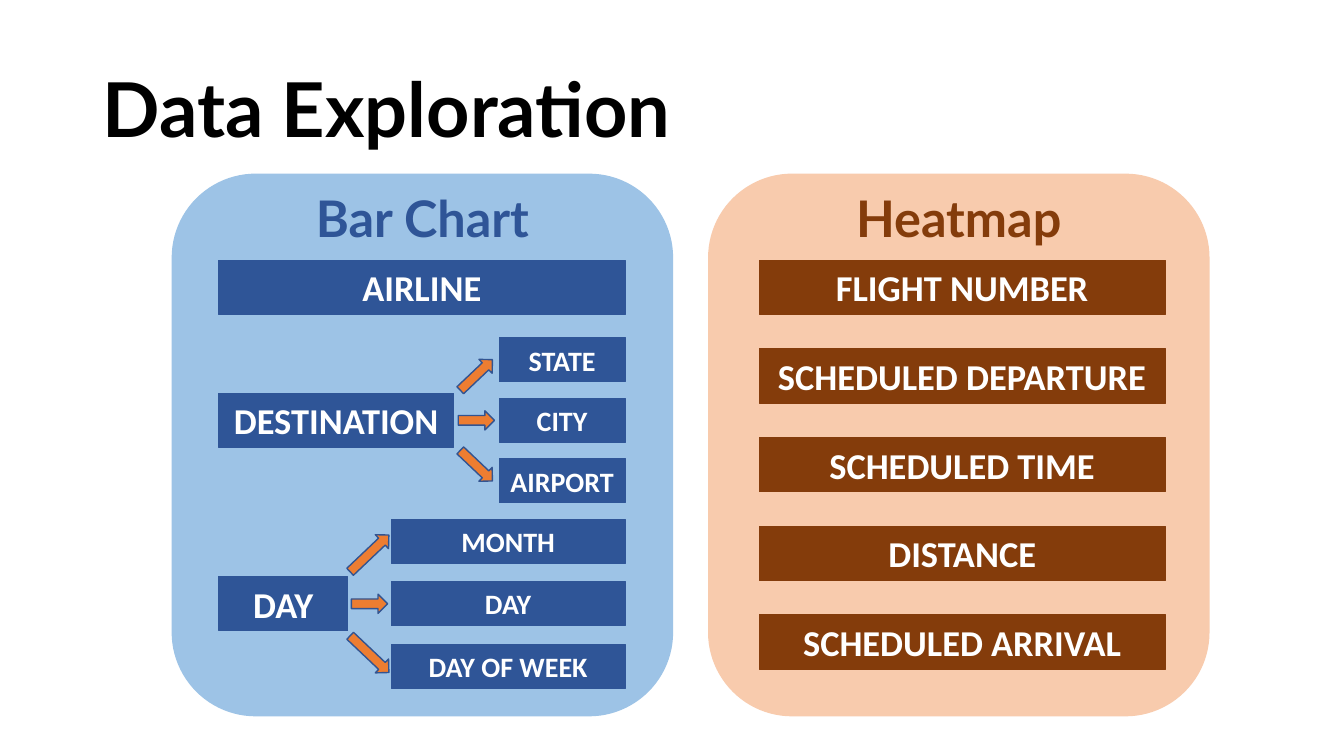
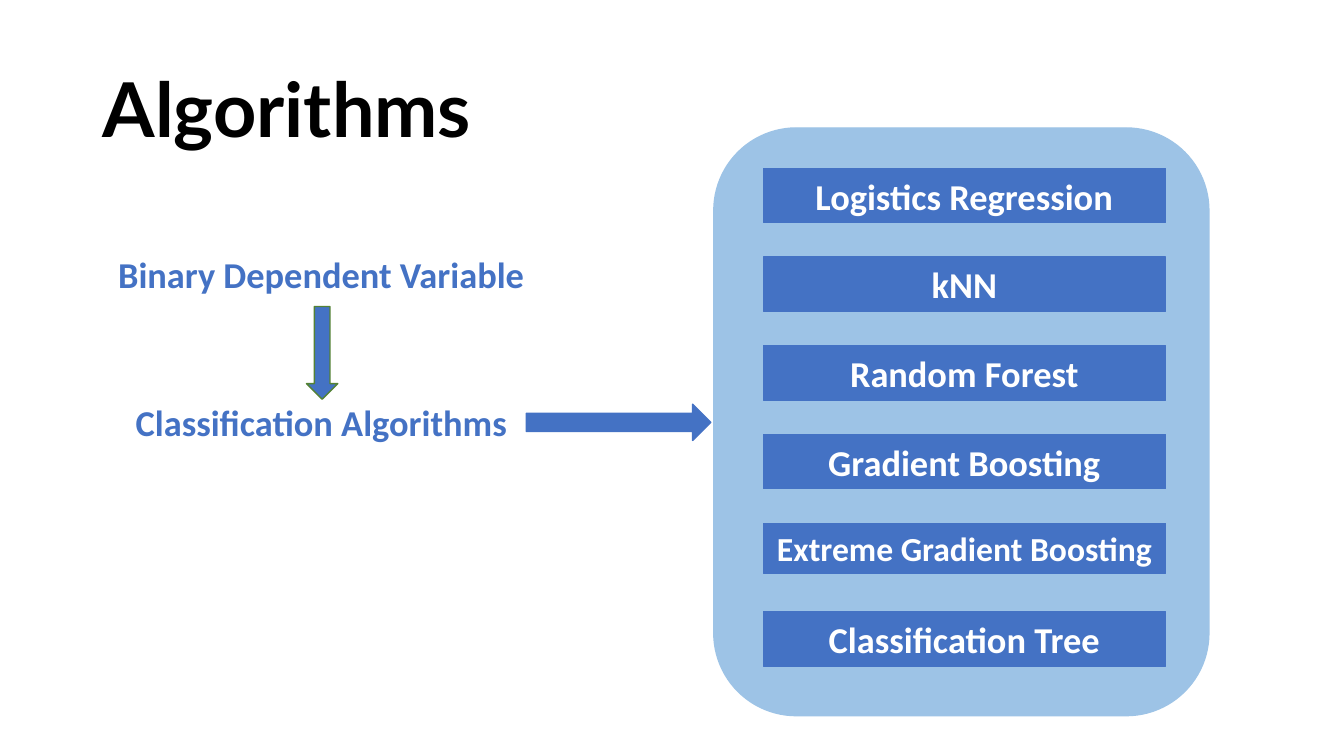
from pptx import Presentation
from pptx.dml.color import RGBColor
from pptx.enum.shapes import MSO_SHAPE
from pptx.enum.text import MSO_ANCHOR, PP_ALIGN
from pptx.util import Inches, Pt

RECTANGLE, ROUNDED = MSO_SHAPE.RECTANGLE, MSO_SHAPE.ROUNDED_RECTANGLE
RIGHT_ARROW, DOWN_ARROW = MSO_SHAPE.RIGHT_ARROW, MSO_SHAPE.DOWN_ARROW
LEFT, CENTER = PP_ALIGN.LEFT, PP_ALIGN.CENTER
MIDDLE = MSO_ANCHOR.MIDDLE

# Shared style
BLACK = RGBColor(0x00, 0x00, 0x00)
WHITE = RGBColor(0xFF, 0xFF, 0xFF)
BLUE = RGBColor(0x44, 0x72, 0xC4)
NAVY = RGBColor(0x2F, 0x55, 0x97)
PALE_BLUE = RGBColor(0x9D, 0xC3, 0xE6)
BROWN = RGBColor(0x84, 0x3C, 0x0B)
PEACH = RGBColor(0xF8, 0xCB, 0xAD)
ORANGE = RGBColor(0xED, 0x7D, 0x31)
ARROW_EDGE = RGBColor(0x32, 0x54, 0x91)
GREEN = RGBColor(0x54, 0x82, 0x35)
HEADING_FONT, BODY_FONT = "Lato", "Calibri"
LARGE, SMALL = 26, 20
BAR_HEIGHT = {26: 0.54, 24: 0.5, 20: 0.44}
BAR_STEP = 0.88
BAR_WIDTH = 4.03

# Exploration: panels are (heading, left, fill, text colour)
PANEL_TOP, PANEL_WIDTH, PANEL_HEIGHT = 1.73, 4.96, 5.37
FIRST_BAR_TOP = 2.58
PANELS = [("Bar Chart", 1.71, PALE_BLUE, NAVY), ("Heatmap", 7.03, PEACH, BROWN)]
BAR_CHART_LEFT, HEATMAP_LEFT = 2.17, 7.53
HEATMAP_FIELDS = ["FLIGHT NUMBER", "SCHEDULED DEPARTURE", "SCHEDULED TIME",
                  "DISTANCE", "SCHEDULED ARRIVAL"]
BRANCHES = [
    dict(parent="DESTINATION", parent_width=2.33, middle=4.17,
         children=["STATE", "CITY", "AIRPORT"], child_width=1.25, step=0.6,
         arrow_length=0.44, arrow_spread=0.45),
    dict(parent="DAY", parent_width=1.28, middle=5.99,
         children=["MONTH", "DAY", "DAY OF WEEK"], child_width=2.32, step=0.62,
         arrow_length=0.53, arrow_spread=0.5),
]
ARROW_HEIGHT, LEVEL_ARROW_LENGTH, ARROW_ANGLE = 0.19, 0.36, 43.5

# Algorithms: bars are (label, size), steps are (label, top)
ALGORITHMS = [("Logistics Regression", 26), ("kNN", 26), ("Random Forest", 26),
              ("Gradient Boosting", 26), ("Extreme Gradient Boosting", 24),
              ("Classification Tree", 26)]
ALGORITHM_LEFT, ALGORITHM_TOP, ALGORITHM_WIDTH = 7.57, 1.67, 3.99
STEPS = [("Binary Dependent Variable", 2.45), ("Classification Algorithms", 3.92)]


def write(shape, text, size, color, font=BODY_FONT, align=CENTER, wrap=True):
    frame = shape.text_frame
    frame.word_wrap = wrap
    frame.vertical_anchor = MIDDLE
    paragraph = frame.paragraphs[0]
    paragraph.alignment = align
    run = paragraph.add_run()
    run.text = text
    run.font.name, run.font.size, run.font.bold = font, Pt(size), True
    run.font.color.rgb = color
    return paragraph


def add_text(slide, box, *args, **options):
    shape = slide.shapes.add_textbox(*map(Inches, box))
    return write(shape, *args, **options)


def add_shape(slide, kind, box, fill, line=None, line_width=1):
    shape = slide.shapes.add_shape(kind, *map(Inches, box))
    shape.shadow.inherit = False
    shape.fill.solid()
    shape.fill.fore_color.rgb = fill
    shape.line.color.rgb = line or fill
    shape.line.width = Pt(line_width)
    return shape


def add_bar(slide, text, left, top, width, fill, size=LARGE):
    box = (left, top, width, BAR_HEIGHT[size])
    shape = add_shape(slide, RECTANGLE, box, fill, line_width=0.75)
    write(shape, text, size, WHITE, wrap=False)


def add_titled_slide(presentation, title):
    slide = presentation.slides.add_slide(presentation.slide_layouts[6])
    paragraph = add_text(slide, (0.92, 0.4, 11.5, 1.45), title, 54, BLACK,
                         font=HEADING_FONT, align=LEFT)
    paragraph.line_spacing = 0.9
    return slide


def add_branch(slide, branch):
    """Draw a parent bar, its three children and the arrows between them."""
    middle = branch["middle"]
    parent_right = BAR_CHART_LEFT + branch["parent_width"]
    child_left = BAR_CHART_LEFT + BAR_WIDTH - branch["child_width"]
    gap_center = (parent_right + child_left) / 2
    add_bar(slide, branch["parent"], BAR_CHART_LEFT, middle - BAR_HEIGHT[LARGE] / 2,
            branch["parent_width"], NAVY)
    for row, child in enumerate(branch["children"], start=-1):
        child_top = middle + row * branch["step"] - BAR_HEIGHT[SMALL] / 2
        add_bar(slide, child, child_left, child_top, branch["child_width"], NAVY, SMALL)
        length = branch["arrow_length"] if row else LEVEL_ARROW_LENGTH
        arrow_center = middle + row * branch["arrow_spread"]
        box = (gap_center - length / 2, arrow_center - ARROW_HEIGHT / 2,
               length, ARROW_HEIGHT)
        arrow = add_shape(slide, RIGHT_ARROW, box, ORANGE, ARROW_EDGE)
        arrow.rotation = row * ARROW_ANGLE


def build_exploration(presentation):
    slide = add_titled_slide(presentation, "Data Exploration")
    for heading, left, fill, color in PANELS:
        add_shape(slide, ROUNDED, (left, PANEL_TOP, PANEL_WIDTH, PANEL_HEIGHT), fill)
        add_text(slide, (left, 1.8, PANEL_WIDTH, 0.71), heading, 36, color,
                 font=HEADING_FONT)
    add_bar(slide, "AIRLINE", BAR_CHART_LEFT, FIRST_BAR_TOP, BAR_WIDTH, NAVY)
    for branch in BRANCHES:
        add_branch(slide, branch)
    for row, field in enumerate(HEATMAP_FIELDS):
        add_bar(slide, field, HEATMAP_LEFT, FIRST_BAR_TOP + row * BAR_STEP,
                BAR_WIDTH, BROWN)


def build_algorithms(presentation):
    slide = add_titled_slide(presentation, "Algorithms")
    add_shape(slide, ROUNDED, (7.08, 1.27, 4.91, 5.83), PALE_BLUE)
    for row, (name, size) in enumerate(ALGORITHMS):
        add_bar(slide, name, ALGORITHM_LEFT, ALGORITHM_TOP + row * BAR_STEP,
                ALGORITHM_WIDTH, BLUE, size)
    for label, top in STEPS:
        add_text(slide, (0.76, top, 4.86, BAR_HEIGHT[LARGE]), label, LARGE, BLUE)
    add_shape(slide, DOWN_ARROW, (3.04, 3.04, 0.31, 0.92), BLUE, GREEN)
    add_shape(slide, RIGHT_ARROW, (5.22, 4.01, 1.83, 0.36), BLUE)


def main():
    presentation = Presentation()
    presentation.slide_width, presentation.slide_height = Inches(13.33), Inches(7.5)
    build_exploration(presentation)
    build_algorithms(presentation)
    presentation.save("out.pptx")


if __name__ == "__main__":
    main()
